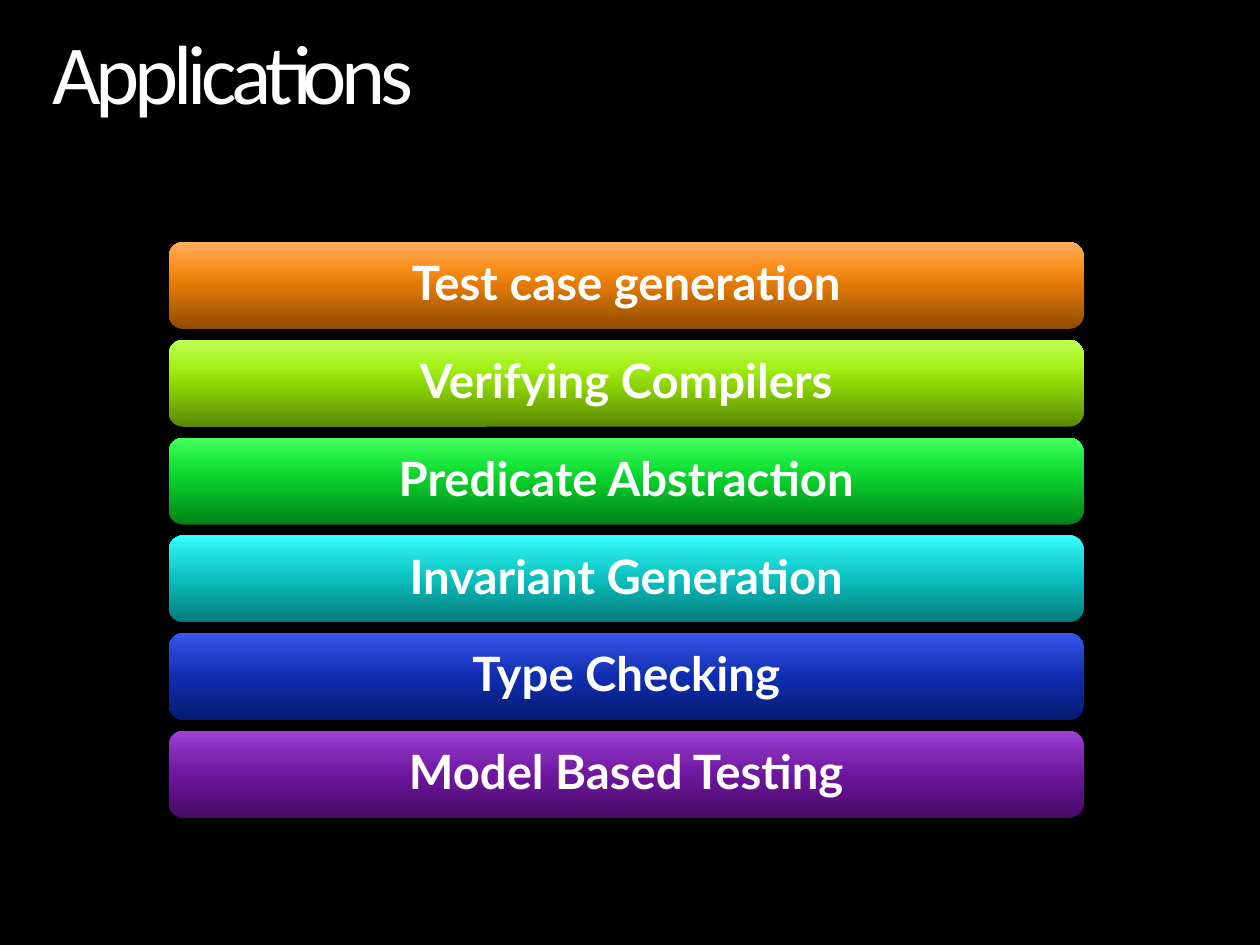
from dataclasses import dataclass

from lxml import etree
from pptx import Presentation
from pptx import util as u
from pptx.dml.color import RGBColor
from pptx.enum import shapes, text
from pptx.oxml.ns import qn


@dataclass(frozen=True)
class Theme:
    background: str = "000000"
    label_color: str = "FFFFFF"
    shadow_color: str = "000000"
    title_font: str = "Calibri"
    label_font: str = "Lato"
    title_size: int = 48
    label_size: int = 27
    line_spacing: float = 0.9
    title_stops: tuple = ((28, "FFFFFF"), (68, "FFDF79"))
    bar_positions: tuple = (0, 50, 70, 100)


APPLICATIONS = [
    ("Test case generation", ("8F4B01", "E17908", "FB8E1A", "FFAE5F")),
    ("Verifying Compilers", ("5A8901", "8FD707", "A5F119", "BFFF52")),
    ("Predicate Abstraction", ("018217", "08CC29", "19E53A", "44FF5F")),
    ("Invariant Generation", ("037A79", "0BBFBE", "1CD6D5", "36FFFD")),
    ("Type Checking", ("071A70", "0F2DB0", "203DC6", "3B56ED")),
    ("Model Based Testing", ("450B65", "6E169F", "7F26B3", "9D41D8")),
]
BAR_LEFT, BAR_TOP, BAR_WIDTH, BAR_HEIGHT = 96.5, 138.3, 522.7, 49.7
BAR_PITCH = 55.88
LABEL_MARGIN = 2.4
LABEL_INSET = 8


def add_color(parent, value):
    return etree.SubElement(parent, qn("a:srgbClr"), val=value)


def set_gradient(fill, owner, stops, angle):
    """Give fill, held by the XML element owner, any number of stops; angle runs clockwise."""
    fill.gradient()
    gradient = owner.find(qn("a:gradFill"))
    for child in list(gradient):
        gradient.remove(child)
    stop_list = etree.SubElement(gradient, qn("a:gsLst"))
    for position, color in stops:
        stop = etree.SubElement(stop_list, qn("a:gs"), pos=str(position * 1000))
        add_color(stop, color)
    etree.SubElement(gradient, qn("a:lin"), ang=str(angle * 60000), scaled="0")


class SlideBuilder:
    def __init__(self, slide, theme):
        self.slide = slide
        self.theme = theme
        background = slide.background.fill
        background.solid()
        background.fore_color.rgb = RGBColor.from_string(theme.background)

    def set_frame(self, frame, inset, anchor):
        frame.word_wrap = True
        frame.vertical_anchor = anchor
        frame.margin_left = frame.margin_right = u.Pt(inset)
        frame.margin_top = frame.margin_bottom = u.Pt(inset)

    def title(self, wording, left, top, width, height):
        title = self.slide.shapes.title
        title.left, title.top = u.Pt(left), u.Pt(top)
        title.width, title.height = u.Pt(width), u.Pt(height)
        frame = title.text_frame
        self.set_frame(frame, 0, text.MSO_ANCHOR.TOP)
        frame.auto_size = text.MSO_AUTO_SIZE.SHAPE_TO_FIT_TEXT
        heading = frame.paragraphs[0]
        heading.alignment = text.PP_ALIGN.LEFT
        heading.line_spacing = self.theme.line_spacing
        run = heading.add_run()
        run.text = wording
        run.font.size = u.Pt(self.theme.title_size)
        run.font.name = self.theme.title_font
        properties = run._r.get_or_add_rPr()
        properties.set("spc", "-300")
        set_gradient(run.font.fill, properties, self.theme.title_stops, 90)

    def bar(self, colors, left, top, width, height):
        bar = self.slide.shapes.add_shape(
            shapes.MSO_SHAPE.ROUNDED_RECTANGLE,
            u.Pt(left), u.Pt(top), u.Pt(width), u.Pt(height))
        bar.line.fill.background()
        stops = zip(self.theme.bar_positions, colors)
        set_gradient(bar.fill, bar._element.spPr, stops, 270)
        self.drop_shadow(bar)

    def drop_shadow(self, shape):
        shape.shadow.inherit = False
        effects = shape._element.spPr.find(qn("a:effectLst"))
        shadow = etree.SubElement(
            effects, qn("a:outerShdw"), blurRad=str(u.Pt(4)), dist=str(u.Pt(3)),
            dir=str(90 * 60000), rotWithShape="0")
        color = add_color(shadow, self.theme.shadow_color)
        etree.SubElement(color, qn("a:alpha"), val="35000")

    def label(self, wording, left, top, width, height):
        box = self.slide.shapes.add_textbox(
            u.Pt(left), u.Pt(top), u.Pt(width), u.Pt(height))
        self.set_frame(box.text_frame, LABEL_INSET, text.MSO_ANCHOR.MIDDLE)
        label = box.text_frame.paragraphs[0]
        label.text = wording
        label.alignment = text.PP_ALIGN.CENTER
        label.line_spacing = self.theme.line_spacing
        label.font.name = self.theme.label_font
        label.font.size = u.Pt(self.theme.label_size)
        label.font.bold = True
        label.font.color.rgb = RGBColor.from_string(self.theme.label_color)


def main():
    presentation = Presentation()
    presentation.slide_width, presentation.slide_height = u.Pt(720), u.Pt(540)
    title_only = presentation.slide_layouts[5]
    builder = SlideBuilder(presentation.slides.add_slide(title_only), Theme())

    builder.title("Applications", 30, 18, 660, 52.4)
    for row, (application, colors) in enumerate(APPLICATIONS):
        top = BAR_TOP + row * BAR_PITCH
        builder.bar(colors, BAR_LEFT, top, BAR_WIDTH, BAR_HEIGHT)
        builder.label(application, BAR_LEFT + LABEL_MARGIN, top + LABEL_MARGIN,
                      BAR_WIDTH - 2 * LABEL_MARGIN, BAR_HEIGHT - 2 * LABEL_MARGIN)

    presentation.save("out.pptx")


if __name__ == "__main__":
    main()
